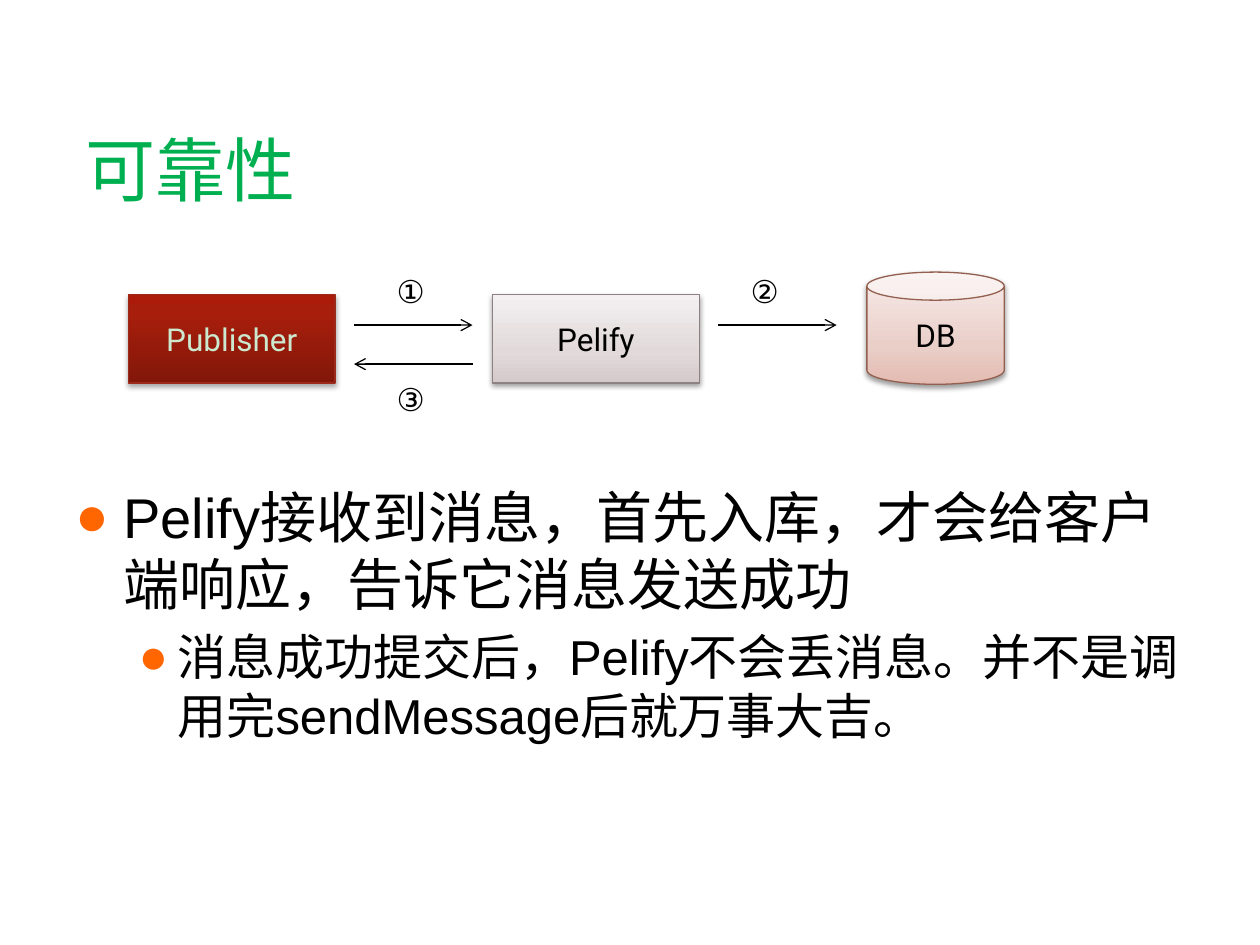
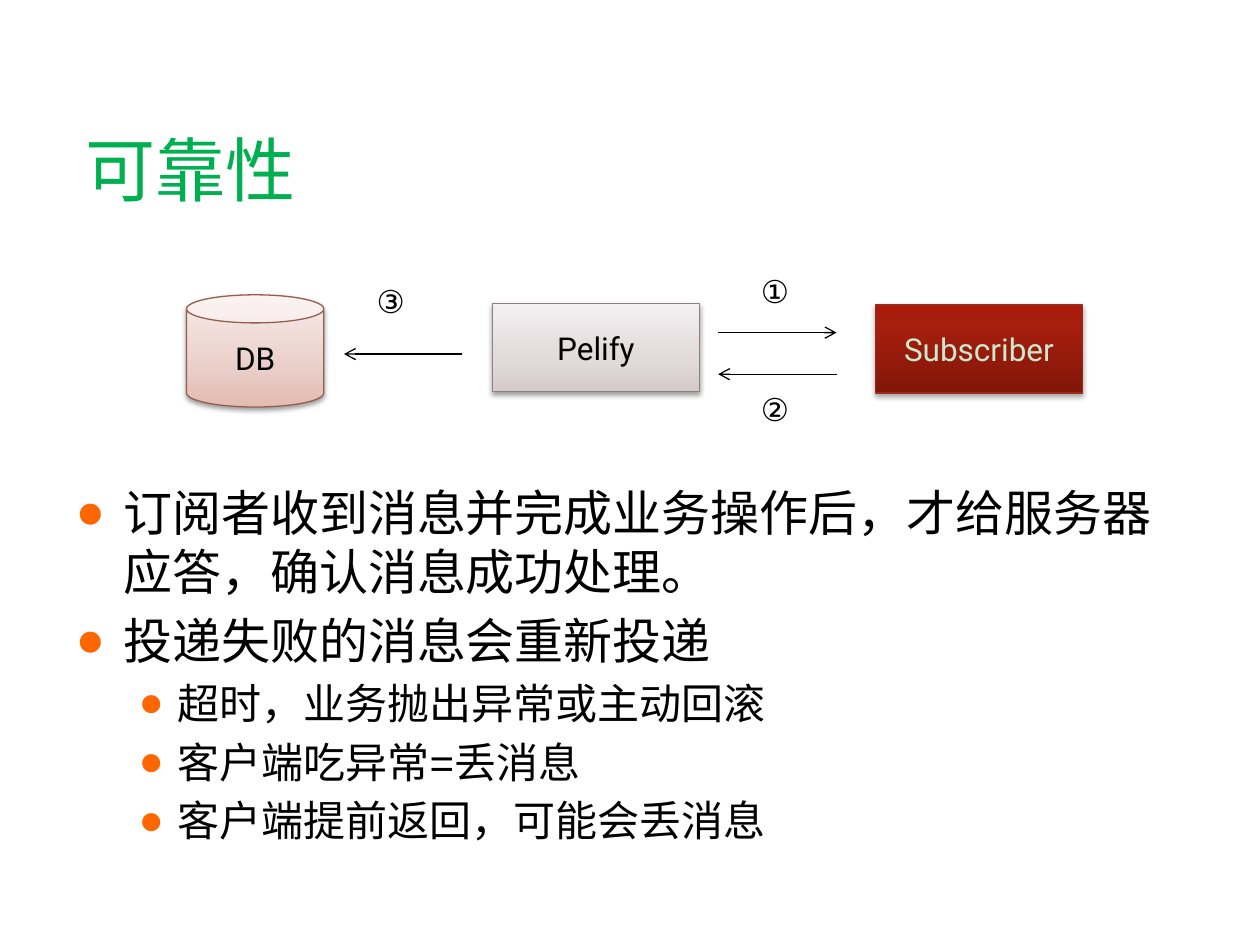
from pptx import Presentation
from pptx import util as u
from pptx.dml.color import RGBColor
from pptx.enum import shapes, text
from pptx.oxml import ns, parse_xml

color = RGBColor.from_string

GREEN, ORANGE, BLACK, PALE = "00B050", "FF6600", "000000", "CCE8CF"
HEADING_FONT, BODY_FONT = "Roboto", "Arial"
BOX, CAN = shapes.MSO_SHAPE.RECTANGLE, shapes.MSO_SHAPE.CAN
BOX_SIZE, CAN_SIZE = (1.64, 0.7), (1.09, 0.89)
INDENTS = [(0.38, -0.38), (0.81, -0.31)]

NODE_STYLES = {
    "client": (BOX, BOX_SIZE, [(0, "821709"), (80, "A81E0C"), (100, "AC1B09")], "9B2A1B", PALE, 35, 1.8),
    "server": (BOX, BOX_SIZE, [(0, "D5CACB"), (35, "E1D9DA"), (100, "F4F0F1")], "8E8182", BLACK, 38, 1.6),
    "store": (CAN, CAN_SIZE, [(0, "E3BBB2"), (35, "EACFC9"), (100, "F8ECEA")], "935F4E", BLACK, 38, 1.6),
}

SLIDES = [
    {
        "nodes": [("client", "Publisher", 1.02, 2.34), ("server", "Pelify", 3.91, 2.34), ("store", "DB", 6.88, 2.16)],
        "arrows": [(2.81, 3.75, 2.58), (5.7, 6.64, 2.58), (3.75, 2.81, 2.89)],
        "steps": [("①", 3.05, 2.11), ("②", 5.86, 2.11), ("③", 3.05, 2.97)],
        "bullets": [
            (0, 32, "Pelify接收到消息，首先入库，才会给客户端响应，告诉它消息发送成功"),
            (1, 28, "消息成功提交后，Pelify不会丢消息。并不是调用完sendMessage后就万事大吉。"),
        ],
    },
    {
        "nodes": [("client", "Subscriber", 6.95, 2.42), ("server", "Pelify", 3.91, 2.41), ("store", "DB", 1.48, 2.34)],
        "arrows": [(3.67, 2.73, 2.81), (5.7, 6.64, 2.64), (6.64, 5.7, 2.97)],
        "steps": [("①", 5.94, 2.11), ("②", 5.94, 3.05), ("③", 2.89, 2.19)],
        "bullets": [
            (0, 28, "订阅者收到消息并完成业务操作后，才给服务器应答，确认消息成功处理。"),
            (0, 28, "投递失败的消息会重新投递"),
            (1, 24, "超时，业务抛出异常或主动回滚"),
            (1, 24, "客户端吃异常=丢消息"),
            (1, 24, "客户端提前返回，可能会丢消息"),
        ],
    },
]


def format_runs(paragraph, size, font_name, font_color):
    for run in paragraph.runs:
        run.font.size = u.Pt(size)
        run.font.name = font_name
        run.font.color.rgb = color(font_color)


def append_xml(parent, tag, attributes="", content=""):
    parent.append(parse_xml(f"<a:{tag} {ns.nsdecls('a')} {attributes}>{content}</a:{tag}>"))


presentation = Presentation()
presentation.slide_width = u.Inches(10)
presentation.slide_height = u.Inches(7.5)

for content in SLIDES:
    slide = presentation.slides.add_slide(presentation.slide_layouts[1])

    title = slide.shapes.title
    title.left, title.top, title.width, title.height = map(u.Inches, (0.58, 1, 8.92, 0.67))
    title.text_frame.text = "可靠性"
    title.text_frame.auto_size = text.MSO_AUTO_SIZE.NONE
    title.text_frame.vertical_anchor = text.MSO_ANCHOR.MIDDLE
    paragraph = title.text_frame.paragraphs[0]
    paragraph.alignment = text.PP_ALIGN.LEFT
    format_runs(paragraph, 40, HEADING_FONT, GREEN)

    body = slide.placeholders[1]
    body.left, body.top, body.width, body.height = map(u.Inches, (0.5, 3.78, 9, 2.92))
    body.text_frame.text = "\n".join(line for level, size, line in content["bullets"])
    body.text_frame.auto_size = text.MSO_AUTO_SIZE.NONE
    for paragraph, (level, size, line) in zip(body.text_frame.paragraphs, content["bullets"]):
        paragraph.level = level
        paragraph.space_before = u.Pt(0.2 * size)
        format_runs(paragraph, size, BODY_FONT, BLACK)
        properties = paragraph._p.get_or_add_pPr()
        margin, indent = INDENTS[level]
        properties.set("marL", str(u.Inches(margin)))
        properties.set("indent", str(u.Inches(indent)))
        append_xml(properties, "buClr", content=f'<a:srgbClr val="{ORANGE}"/>')
        append_xml(properties, "buFont", f'typeface="{BODY_FONT}"')
        append_xml(properties, "buChar", 'char="●"')

    for style, label, left, top in content["nodes"]:
        preset, size, stops, line_color, text_color, opacity, distance = NODE_STYLES[style]
        node = slide.shapes.add_shape(preset, *map(u.Inches, (left, top, *size)))
        node.fill.gradient()
        node.fill.gradient_angle = 90
        stop_list = node._element.spPr.find(ns.qn("a:gradFill")).find(ns.qn("a:gsLst"))
        stop_list.clear()
        for position, stop_color in stops:
            append_xml(stop_list, "gs", f'pos="{position * 1000}"', f'<a:srgbClr val="{stop_color}"/>')
        node.line.color.rgb = color(line_color)
        node.line.width = u.Pt(0.75)
        append_xml(
            node._element.spPr, "effectLst",
            content=f'<a:outerShdw blurRad="{u.Pt(3.1)}" dist="{u.Pt(distance)}" dir="5400000" rotWithShape="0">'
                    f'<a:srgbClr val="{BLACK}"><a:alpha val="{opacity * 1000}"/></a:srgbClr></a:outerShdw>')
        node.text_frame.text = label
        node.text_frame.vertical_anchor = text.MSO_ANCHOR.MIDDLE
        paragraph = node.text_frame.paragraphs[0]
        paragraph.alignment = text.PP_ALIGN.CENTER
        format_runs(paragraph, 18, HEADING_FONT, text_color)

    for start, end, height in content["arrows"]:
        arrow = slide.shapes.add_connector(
            shapes.MSO_CONNECTOR.STRAIGHT, *map(u.Inches, (start, height, end, height)))
        arrow.line.color.rgb = color(BLACK)
        arrow.line.width = u.Pt(0.75)
        append_xml(arrow.line._get_or_add_ln(), "tailEnd", 'type="arrow"')
        append_xml(arrow._element.spPr, "effectLst")

    for number, left, top in content["steps"]:
        step = slide.shapes.add_textbox(*map(u.Inches, (left, top, 0.45, 0.4)))
        step.text_frame.word_wrap = True
        step.text_frame.auto_size = text.MSO_AUTO_SIZE.SHAPE_TO_FIT_TEXT
        step.text_frame.text = number
        format_runs(step.text_frame.paragraphs[0], 18, HEADING_FONT, BLACK)

presentation.save("out.pptx")
